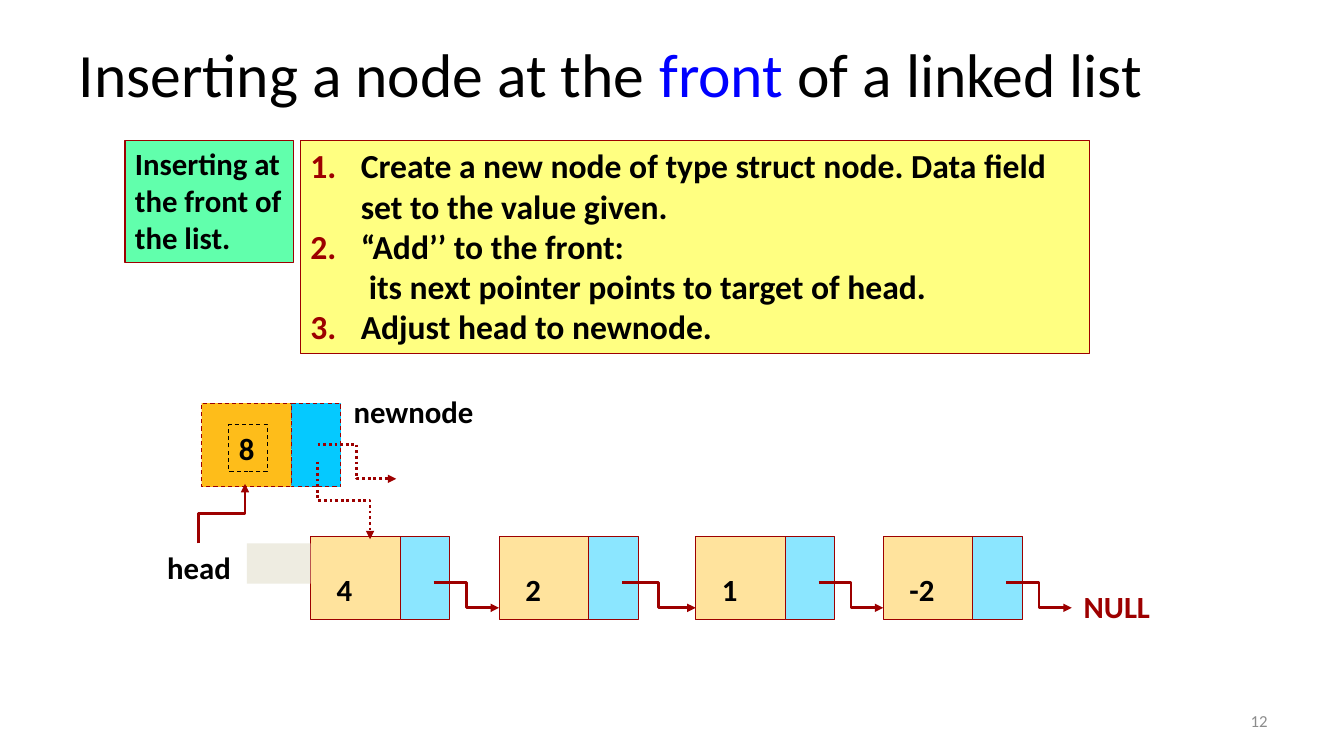
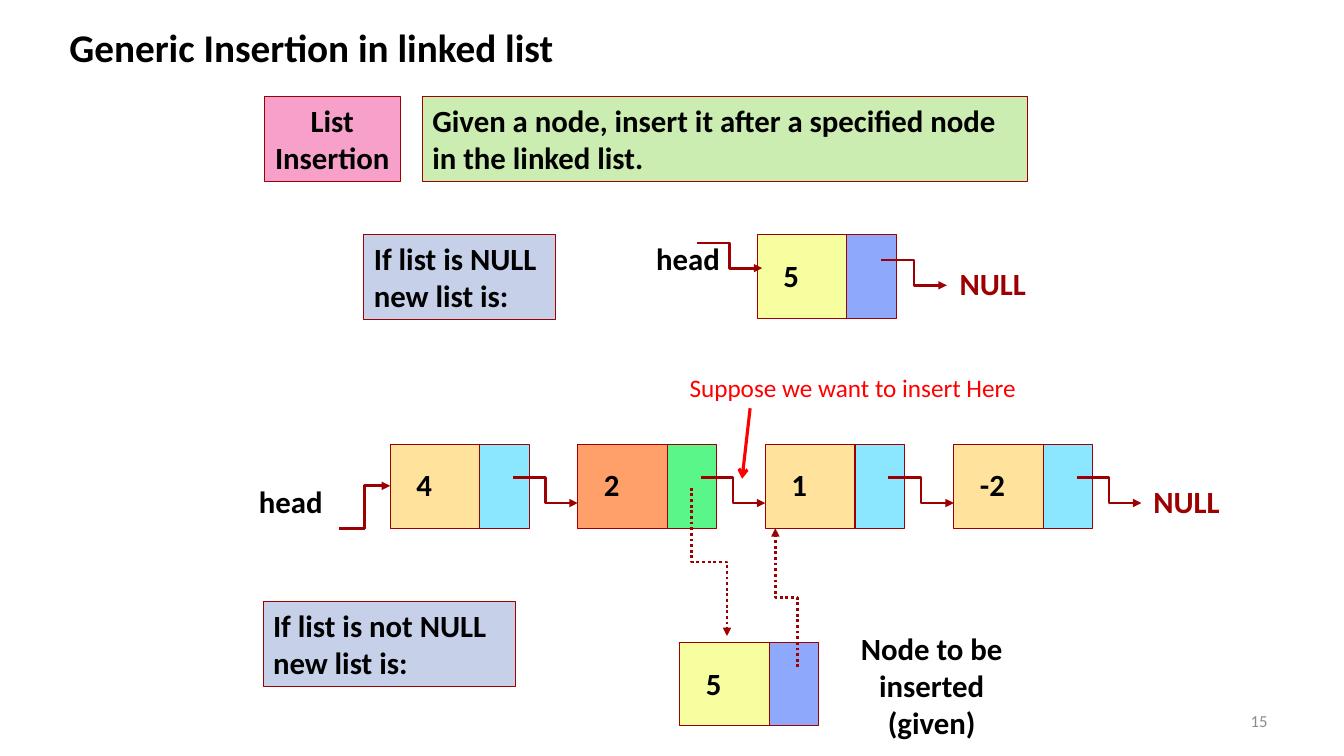
from lxml import etree
from pptx import Presentation
from pptx import util as u
from pptx.dml.color import RGBColor
from pptx.enum import dml, shapes, text
from pptx.oxml.ns import qn

COLORS = {
    "ink": "000000", "maroon": "9D0000", "blue": "0000FF", "red": "FF0000",
    "gray": "8C8C8C", "mint": "61FFAC", "yellow": "FFFF81", "amber": "FEBD1A",
    "azure": "05C9FF", "sand": "FFE39D", "sky": "8BE6FF", "beige": "EEECE1",
    "pink": "F7A1CA", "lime": "CCEDB1", "steel": "C7D0E9", "lemon": "F7FEA0",
    "periwinkle": "8EA8FC", "orange": "FFA06B", "green": "5AF68A",
}
LEFT, CENTER, RIGHT = text.PP_ALIGN.LEFT, text.PP_ALIGN.CENTER, text.PP_ALIGN.RIGHT
DASH, DOTS = dml.MSO_LINE.DASH, dml.MSO_LINE.ROUND_DOT
DATA_WIDTH, NEXT_WIDTH, NODE_HEIGHT = 0.89, 0.49, 0.83
NEXT_START, LINK_WIDTH, LINK_DROP = 1.22, 0.65, 0.25


def box(slide, at, lines=(), fill=None, border=None, dash=None, color="ink",
        align=LEFT, wrap=True, size=22, bold=True, inset=(0.1, 0.05),
        anchor=text.MSO_ANCHOR.TOP):
    place = [u.Inches(value) for value in at]
    if fill or border:
        shape = slide.shapes.add_shape(shapes.MSO_SHAPE.RECTANGLE, *place)
        shape.shadow.inherit = False
        for part, hue in ((shape.fill, fill), (shape.line.fill, border)):
            if hue:
                part.solid()
                part.fore_color.rgb = RGBColor.from_string(COLORS[hue])
            else:
                part.background()
        if border:
            shape.line.width = u.Pt(0.75)
            shape.line.dash_style = dash
    else:
        shape = slide.shapes.add_textbox(*place)
    frame = shape.text_frame
    frame_format = {
        "word_wrap": wrap, "vertical_anchor": anchor,
        "margin_left": u.Inches(inset[0]), "margin_right": u.Inches(0.1),
        "margin_top": u.Inches(inset[1]), "margin_bottom": u.Inches(0.05),
    }
    for name, value in frame_format.items():
        setattr(frame, name, value)
    for index, line in enumerate(lines):
        paragraph = frame.add_paragraph() if index else frame.paragraphs[0]
        paragraph.alignment = align
        for words, hue in [(line, color)] if isinstance(line, str) else line:
            run = paragraph.add_run()
            run.text = words
            for name, value in {"name": "Calibri", "size": u.Pt(size), "bold": bold}.items():
                setattr(run.font, name, value)
            run.font.color.rgb = RGBColor.from_string(COLORS[hue])
    return shape


def link(slide, start, end, upright=False, dash=None, color="maroon", width=2,
         kind=shapes.MSO_CONNECTOR.ELBOW, head="triangle"):
    (x1, y1), (x2, y2) = start, end
    if upright:
        mid_x, mid_y = (x1 + x2) / 2, (y1 + y2) / 2
        half_x, half_y = (y1 - y2) / 2, (x2 - x1) / 2
        x1, y1, x2, y2 = mid_x - half_x, mid_y - half_y, mid_x + half_x, mid_y + half_y
    connector = slide.shapes.add_connector(kind, *[u.Inches(v) for v in (x1, y1, x2, y2)])
    connector.line.color.rgb = RGBColor.from_string(COLORS[color])
    connector.line.width = u.Pt(width)
    connector.line.dash_style = dash
    properties = connector._element.spPr
    if upright:
        properties.find(qn("a:xfrm")).set("rot", str(270 * 60000))
    etree.SubElement(properties.find(qn("a:ln")), qn("a:tailEnd"), type=head)
    etree.SubElement(properties, qn("a:effectLst"))


deck = Presentation()
deck.slide_width, deck.slide_height = u.Inches(13.33), u.Inches(7.5)
front, generic = [deck.slides.add_slide(deck.slide_layouts[6]) for _ in range(2)]

for slide, number in ((front, "12"), (generic, "15")):
    box(slide, (9.56, 6.95, 3.11, 0.4), [number], color="gray", align=RIGHT,
        size=12, bold=False, anchor=text.MSO_ANCHOR.MIDDLE)

box(front, (0.3, 0.31, 11.51, 1.02),
    [[("Inserting a node at the ", "ink"), ("front", "blue"), (" of a linked list", "ink")]],
    align=CENTER, size=44, bold=False)
box(generic, (0.59, 0.18, 5.15, 0.57), ["Generic Insertion in linked list"], size=28, wrap=False)

nodes = [
    (front, 2, 4, "", "amber", "azure", DASH, 0.05),
    (generic, 7.51, 2.33, "5", "lemon", "periwinkle", None, 0.22),
    (generic, 6.74, 6.37, "5", "lemon", "periwinkle", None, 0.22),
]
chains = [
    (front, 5.32, 0.34, 0.46, (3.08, 4.95, 6.9, 8.76, 10.63), {}),
    (generic, 4.41, 0.21, 0.33, (3.87, 5.73, 7.59, 9.46, 11.32), {"2": ("orange", "green")}),
]
for slide, top, value_top, _, lefts, marked in chains:
    for left, value in zip(lefts, ("4", "2", "1", "-2")):
        fills = marked.get(value, ("sand", "sky"))
        nodes.append((slide, left, top, value, *fills, None, value_top))

for slide, left, top, value, data_fill, next_fill, dash, value_top in nodes:
    box(slide, (left, top, DATA_WIDTH, NODE_HEIGHT), [value] if value else [], data_fill,
        "maroon", dash, wrap=False, inset=(0.26, value_top))
    box(slide, (left + DATA_WIDTH, top, NEXT_WIDTH, NODE_HEIGHT), fill=next_fill,
        border="maroon", dash=dash)

for slide, top, _, link_top, lefts, _ in chains:
    y = top + link_top
    for left, target in zip(lefts, lefts[1:]):
        link(slide, (left + NEXT_START, y), (target, y + LINK_DROP))
for left, y in ((6.91, 2.41), (8.74, 2.58)):
    link(generic, (left, y), (left + LINK_WIDTH, y + LINK_DROP))

labels = [
    (front, 3.41, 3.85, 1.4, "newnode", "ink"),
    (front, 1.56, 5.39, 0.84, "head", "ink"),
    (front, 10.65, 5.78, 0.86, "NULL", "maroon"),
    (generic, 6.41, 2.33, 0.84, "head", "ink"),
    (generic, 9.42, 2.58, 0.86, "NULL", "maroon"),
    (generic, 2.47, 4.74, 0.84, "head", "ink"),
    (generic, 11.34, 4.74, 0.86, "NULL", "maroon"),
]
for slide, left, top, width, words, color in labels:
    box(slide, (left, top, width, 0.47), [words], color=color, wrap=False)

box(front, (1.24, 1.39, 1.67, 1.21), ["Inserting at the front of the list."], "mint", "maroon")
steps = box(front, (2.98, 1.39, 7.83, 2.12), [
    "Create a new node of type struct node. Data field set to the value given.",
    "“Add’’ to the front:",
    "its next pointer points to target of head.",
    "Adjust head to newnode.",
], "yellow", "maroon", size=24)
for index, step in enumerate(steps.text_frame.paragraphs):
    settings = step._p.get_or_add_pPr()
    if index == 2:
        step.level = 1
        settings.set("marL", str(u.Inches(0.58)))
        settings.set("indent", "0")
        etree.SubElement(settings, qn("a:buNone"))
    else:
        settings.set("marL", str(u.Inches(0.5)))
        settings.set("indent", str(-u.Inches(0.5)))
        bullet_color = etree.SubElement(settings, qn("a:buClr"))
        etree.SubElement(bullet_color, qn("a:srgbClr"), val=COLORS["maroon"])
        etree.SubElement(settings, qn("a:buAutoNum"), type="arabicPeriod")
box(front, (2.27, 4.21, 0.38, 0.47), ["8"], border="ink", dash=DASH)
box(front, (2.45, 5.39, 0.63, 0.4), fill="beige")
link(front, (3.15, 4.41), (3.93, 4.75), dash=DOTS)
link(front, (3.15, 4.58), (3.67, 5.35), upright=True, dash=DOTS)
link(front, (1.97, 5.39), (2.43, 4.8), upright=True)

box(generic, (2.62, 0.96, 1.35, 0.84), ["List", "Insertion"], "pink", "maroon",
    align=CENTER, wrap=False)
box(generic, (4.19, 0.96, 6, 0.84),
    ["Given a node, insert it after a specified node in the linked list."], "lime", "maroon")
for place, case in (((3.61, 2.33, 1.9, 0.84), "If list is NULL"),
                    ((2.61, 5.97, 2.5, 0.84), "If list is not NULL")):
    box(generic, place, [case, "new list is:"], "steel", "maroon", wrap=False)
box(generic, (8.24, 6.2, 2, 1.21), ["Node to be inserted (given)"], align=CENTER)
box(generic, (6.74, 3.64, 3.48, 0.4), ["Suppose we want to insert Here"], color="red",
    size=18, bold=False, wrap=False)
link(generic, (7.44, 4.05), (7.36, 4.75), color="red", width=2.25,
     kind=shapes.MSO_CONNECTOR.STRAIGHT, head="arrow")
link(generic, (3.36, 5.24), (3.87, 4.82))
link(generic, (6.86, 4.84), (7.21, 6.31), upright=True, dash=DOTS)
link(generic, (7.91, 6.62), (7.69, 5.24), upright=True, dash=DOTS)

deck.save("out.pptx")
